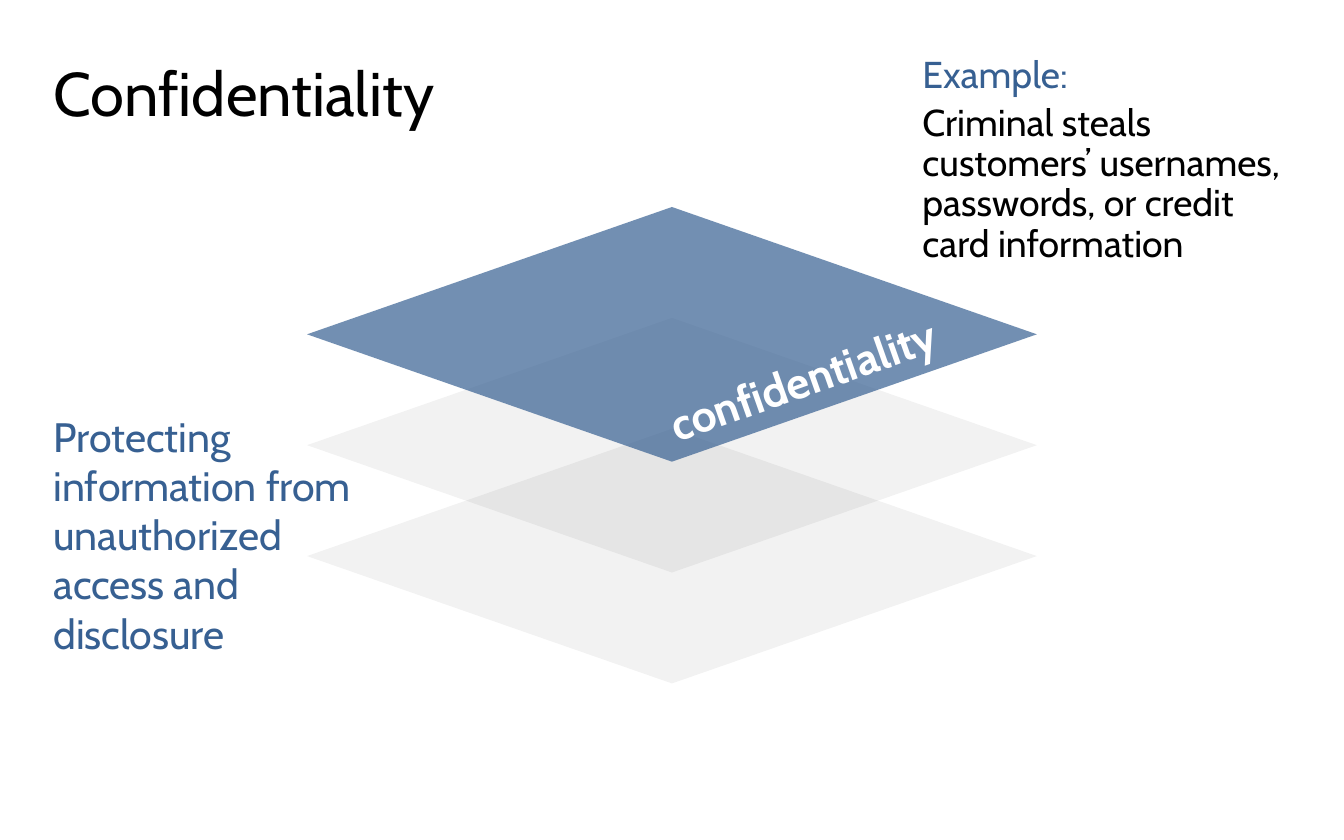
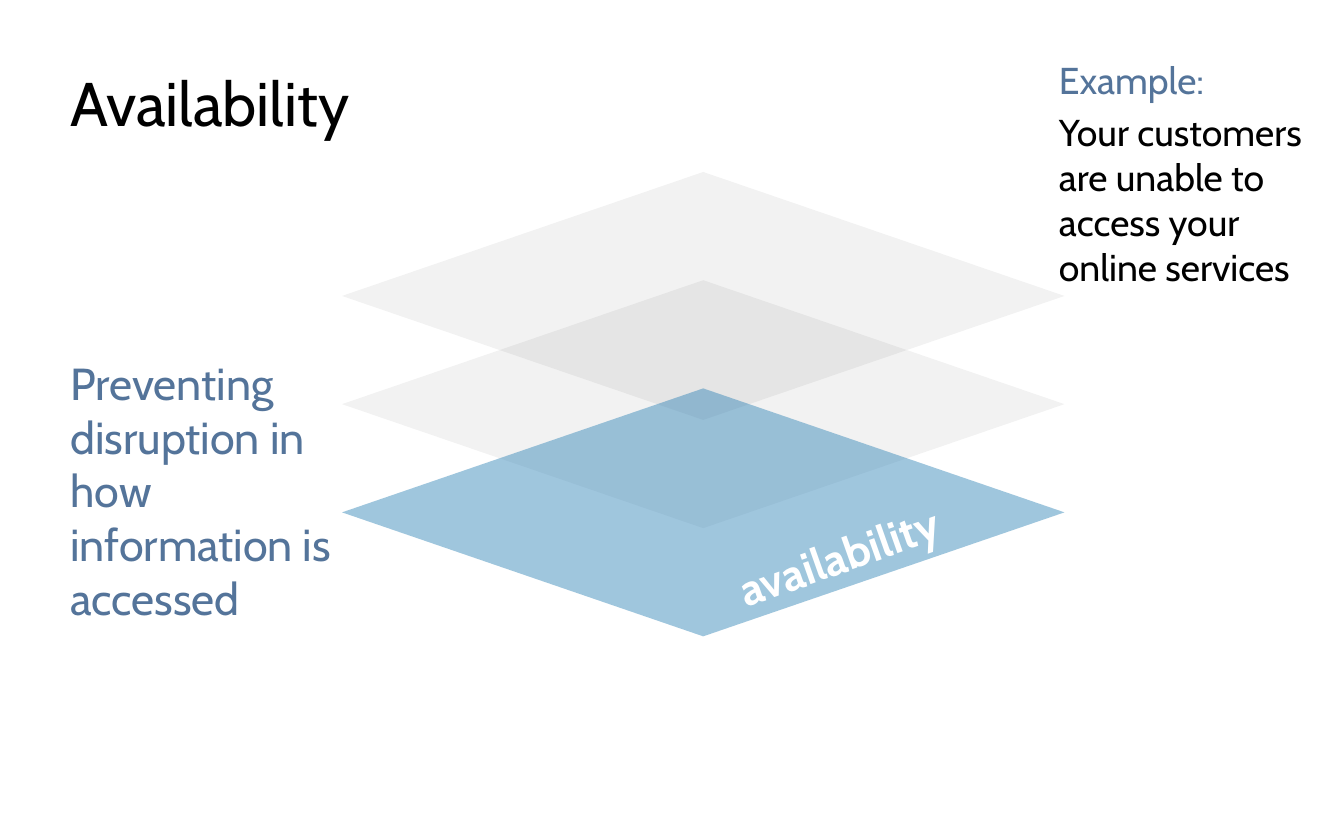
from dataclasses import dataclass

from pptx import Presentation
from pptx.dml.color import RGBColor
from pptx.enum.shapes import MSO_SHAPE as Preset
from pptx.enum.text import MSO_ANCHOR as Anchor, MSO_AUTO_SIZE as AutoSize, PP_ALIGN as Align
from pptx.oxml.ns import qn
from pptx.oxml.xmlchemy import OxmlElement
from pptx.shapes.autoshape import Shape
from pptx.slide import Slide
from pptx.text.text import TextFrame
from pptx.util import Emu, Pt

PX_PER_INCH = 200
EMU_PER_PX = 914400 // PX_PER_INCH


@dataclass(frozen=True)
class Theme:
    font: str = "Cabin"
    ink: str = "000000"
    label_ink: str = "FFFFFF"
    dimmed: str = "000000"
    dimmed_opacity: int = 5
    title_size: int = 33
    example_size: int = 20
    label_size: int = 24
    tight: float = 0.9
    para_gap: int = 4
    label_angle: float = -19.56


THEME = Theme()


@dataclass(frozen=True)
class Area:
    left: int
    top: int
    width: int
    height: int

    def emu(self) -> tuple[Emu, ...]:
        return tuple(px(n) for n in (self.left, self.top, self.width, self.height))


@dataclass(frozen=True)
class Stack:
    """Three diamonds one step apart, with one of them highlighted."""
    top_layer: Area
    step: int
    active: int
    color: str
    opacity: int
    label: str
    label_area: Area


@dataclass(frozen=True)
class Page:
    title: str
    title_area: Area
    definition: str
    definition_area: Area
    definition_size: int
    accent: str
    example: str
    example_area: Area
    example_spacing: float
    stack: Stack


PAGES = [
    Page(
        title="Confidentiality",
        title_area=Area(60, 22, 1780, 242),
        definition="Protecting information from unauthorized access and disclosure",
        definition_area=Area(60, 549, 506, 492),
        definition_size=22,
        accent="376092",
        example="Criminal steals customers’ usernames, passwords, or credit card information",
        example_area=Area(1353, 59, 582, 360),
        example_spacing=THEME.tight,
        stack=Stack(Area(457, 308, 1086, 379), step=165, active=0,
                    color="376092", opacity=70, label="confidentiality",
                    label_area=Area(904, 514, 582, 100)),
    ),
    Page(
        title="Availability",
        title_area=Area(85, 38, 1778, 242),
        definition="Preventing disruption in how information is accessed",
        definition_area=Area(85, 480, 476, 498),
        definition_size=24,
        accent="54749A",
        example="Your customers are unable to access your online services",
        example_area=Area(1556, 25, 444, 464),
        example_spacing=1.0,
        stack=Stack(Area(509, 256, 1075, 369), step=161, active=2,
                    color="2B81B5", opacity=45, label="availability",
                    label_area=Area(978, 777, 540, 100)),
    ),
]


def px(count: int) -> Emu:
    return Emu(count * EMU_PER_PX)


def add_box(shapes, area: Area, anchor: Anchor = Anchor.MIDDLE) -> Shape:
    box = shapes.add_textbox(*area.emu())
    frame = box.text_frame
    frame.word_wrap = True
    frame.auto_size = AutoSize.NONE
    frame.vertical_anchor = anchor
    return box


def write(frame: TextFrame, text: str, *, size: int, color: str, bold: bool = False,
          align: Align = Align.LEFT, spacing: float = 1.0) -> None:
    """Fill the empty first paragraph, or append one with a gap above it."""
    para = frame.paragraphs[0]
    if para.runs:
        para = frame.add_paragraph()
        para.space_before = Pt(THEME.para_gap)
    para.alignment = align
    para.line_spacing = spacing
    span = para.add_run()
    span.text = text
    span.font.name = THEME.font
    span.font.size = Pt(size)
    span.font.bold = bold
    span.font.color.rgb = RGBColor.from_string(color)


def add_diamond(shapes, area: Area, color: str, opacity: int) -> None:
    diamond = shapes.add_shape(Preset.DIAMOND, *area.emu())
    diamond.shadow.inherit = False
    diamond.line.fill.background()
    diamond.fill.solid()
    diamond.fill.fore_color.rgb = RGBColor.from_string(color)
    alpha = OxmlElement("a:alpha")
    alpha.set("val", str(opacity * 1000))
    diamond.element.spPr.find(f"{qn('a:solidFill')}/{qn('a:srgbClr')}").append(alpha)


def add_stack(slide: Slide, stack: Stack) -> None:
    """Draw dimmed layers from the bottom up, then the active one and its label."""
    shapes = slide.shapes.add_group_shape().shapes
    first = stack.top_layer
    layers = [Area(first.left, first.top + i * stack.step, first.width, first.height)
              for i in range(3)]
    active = layers.pop(stack.active)
    for layer in reversed(layers):
        add_diamond(shapes, layer, THEME.dimmed, THEME.dimmed_opacity)
    add_diamond(shapes, active, stack.color, stack.opacity)

    label = add_box(shapes, stack.label_area, Anchor.TOP)
    label.rotation = THEME.label_angle
    label.text_frame.auto_size = AutoSize.SHAPE_TO_FIT_TEXT
    write(label.text_frame, stack.label, size=THEME.label_size, color=THEME.label_ink,
          bold=True, align=Align.CENTER)


def add_page(deck, page: Page) -> None:
    slide = deck.slides.add_slide(deck.slide_layouts[6])
    definition = add_box(slide.shapes, page.definition_area)
    write(definition.text_frame, page.definition, size=page.definition_size, color=page.accent)

    add_stack(slide, page.stack)

    example = add_box(slide.shapes, page.example_area)
    for text, color in (("Example:", page.accent), (page.example, THEME.ink)):
        write(example.text_frame, text, size=THEME.example_size, color=color,
              spacing=page.example_spacing)

    title = add_box(slide.shapes, page.title_area)
    write(title.text_frame, page.title, size=THEME.title_size, color=THEME.ink,
          spacing=THEME.tight)


def main() -> None:
    deck = Presentation()
    deck.slide_width, deck.slide_height = px(2000), px(1250)
    for page in PAGES:
        add_page(deck, page)
    deck.save("out.pptx")


if __name__ == "__main__":
    main()
